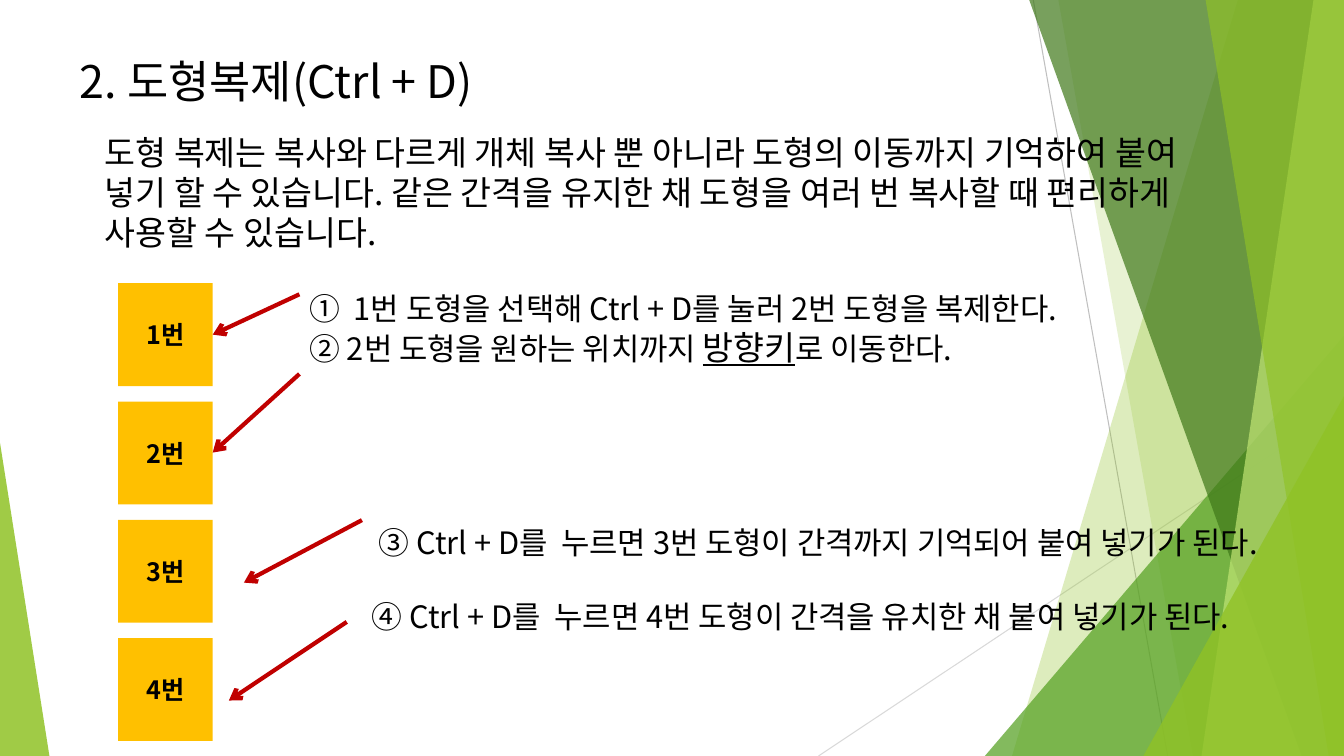
from lxml import etree
from pptx import Presentation
from pptx import util as u
from pptx.dml.color import RGBColor
from pptx.enum import shapes, text
from pptx.oxml.ns import qn

FONT = "Noto Sans CJK KR"
COLOURS = {
    "ink": "000000", "box": "FFC000", "arrow": "C00000",
    "lime": "90C226", "green": "54A021", "forest": "3F7819", "pale": "C0E474",
    "hairline": "BFBFBF", "faint": "D9D9D9",
}
RGB = {name: RGBColor.from_string(value) for name, value in COLOURS.items()}

deck = Presentation()
deck.slide_width, deck.slide_height = u.Inches(13.33), u.Inches(7.5)
COL, ROW = deck.slide_width / 100, deck.slide_height / 60  # grid of 100 x 60
slide = deck.slides.add_slide(deck.slide_layouts[5])
canvas = slide.shapes


def write(shape, *lines, size, bold=False, align=text.PP_ALIGN.LEFT, gap=0):
    """Fill shape with one paragraph per line; parts between _ are underlined."""
    frame = shape.text_frame
    frame.word_wrap = True
    frame.auto_size = text.MSO_AUTO_SIZE.NONE
    frame.vertical_anchor = text.MSO_ANCHOR.MIDDLE
    for row, line in enumerate(lines):
        paragraph = frame.add_paragraph() if row else frame.paragraphs[0]
        paragraph.alignment = align
        if row and gap:
            paragraph.space_before = u.Pt(gap)
        for part, words in enumerate(line.split("_")):
            run = paragraph.add_run()
            run.text = words
            font = run.font
            font.size = u.Pt(size + 2 if part % 2 else size)
            font.bold = bold
            if part % 2:
                font.underline = True
            font.color.rgb = RGB["ink"]
            font.name = FONT
            etree.SubElement(run._r.rPr, qn("a:ea"), typeface=FONT)


def connect(x1, y1, x2, y2, colour, width):
    line = canvas.add_connector(
        shapes.MSO_CONNECTOR.STRAIGHT,
        *(int(v) for v in (x1 * COL, y1 * ROW, x2 * COL, y2 * ROW)))
    line.line.color.rgb = RGB[colour]
    line.line.width = u.Pt(width)
    etree.SubElement(line._element.spPr, qn("a:effectLst"))
    return line


# Background: two hairlines, then translucent facets from back to front
connect(76.88, 0, 86.88, 60, "hairline", 0.75)
connect(100, 32.24, 60.9, 60, "faint", 0.75)

# A sheet is (top x, bottom x) and reaches the right edge;
# a triangle is (left, top, width, apex) and reaches the bottom edge.
facets = [
    ("lime", 30, (92.1, 75.3)),
    ("lime", 20, (78.75, 88.75)),
    ("green", 72, (73.28, 26.64, 26.72, 1)),
    ("forest", 70, (76.58, 96.85)),
    ("pale", 70, (97.73, 89.4)),
    ("lime", 65, (89.7, 98.86)),
    ("lime", 80, (85.07, 31.44, 14.93, 1)),
    ("lime", 85, (0, 35.12, 3.68, 0)),
]
for colour, opacity, outline in facets:
    if len(outline) == 2:
        top_x, bottom_x = outline
        pen = canvas.build_freeform(int(top_x * COL), 0)
        pen.add_line_segments([
            (int(x * COL), int(y * ROW))
            for x, y in ((100, 0), (100, 60), (bottom_x, 60))])
        facet = pen.convert_to_shape()
    else:
        left, top, width, apex = outline
        facet = canvas.add_shape(
            shapes.MSO_SHAPE.ISOSCELES_TRIANGLE, int(left * COL), int(top * ROW),
            int(width * COL), int((60 - top) * ROW))
        facet.adjustments[0] = apex
    facet.shadow.inherit = False
    facet.line.fill.background()
    facet.fill.solid()
    facet.fill.fore_color.rgb = RGB[colour]
    tint = facet._element.spPr.find(".//" + qn("a:srgbClr"))
    etree.SubElement(tint, qn("a:alpha"), val=str(opacity * 1000))

# Title and explanations
title = canvas.title
title.left, title.top = int(5.18 * COL), int(3.84 * ROW)
title.width, title.height = int(67.5 * COL), int(5.12 * ROW)
write(title, "2. 도형복제(Ctrl + D)", size=32)

explanations = [
    ((7.05, 10, 82.2, 10.48), 24, 0, [
        "도형 복제는 복사와 다르게 개체 복사 뿐 아니라 도형의 이동까지 기억하여 "
        "붙여 넣기 할 수 있습니다. 같은 간격을 유지한 채 도형을 여러 번 복사할 때 "
        "편리하게 사용할 수 있습니다."]),
    ((22.28, 21.04, 61.67, 10), 22, 0, [
        "①  1번 도형을 선택해 Ctrl + D를 눌러 2번 도형을 복제한다.",
        "② 2번 도형을 원하는 위치까지 _방향키_로 이동한다."]),
    ((26.93, 38.16, 73.07, 15.6), 22, 26.4, [
        " ③ Ctrl + D를  누르면 3번 도형이 간격까지 기억되어 붙여 넣기가 된다.",
        "④ Ctrl + D를  누르면 4번 도형이 간격을 유치한 채 붙여 넣기가 된다."]),
]
for (left, top, width, height), size, gap, lines in explanations:
    explanation = canvas.add_textbox(
        int(left * COL), int(top * ROW), int(width * COL), int(height * ROW))
    write(explanation, *lines, size=size, gap=gap)

# Column of duplicated boxes, each with its arrow
arrows = [
    (22.28, 23.36, 15.83, 26.56),
    (22.28, 29.68, 15.83, 35.92),
    (26.93, 41.28, 18.15, 46.24),
    (25.8, 49.36, 17.03, 55.6),
]
for step, ends in enumerate(arrows):
    box = canvas.add_shape(
        shapes.MSO_SHAPE.RECTANGLE, int(8.78 * COL), int((22.48 + 9.39 * step) * ROW),
        int(7.05 * COL), int(8.16 * ROW))
    box.shadow.inherit = False
    box.fill.solid()
    box.fill.fore_color.rgb = RGB["box"]
    box.line.fill.background()
    write(box, f"{step + 1}번", size=18, bold=True, align=text.PP_ALIGN.CENTER)
    arrow = connect(*ends, "arrow", 3)
    etree.SubElement(arrow.line._get_or_add_ln(), qn("a:tailEnd"), type="arrow")

deck.save("out.pptx")
